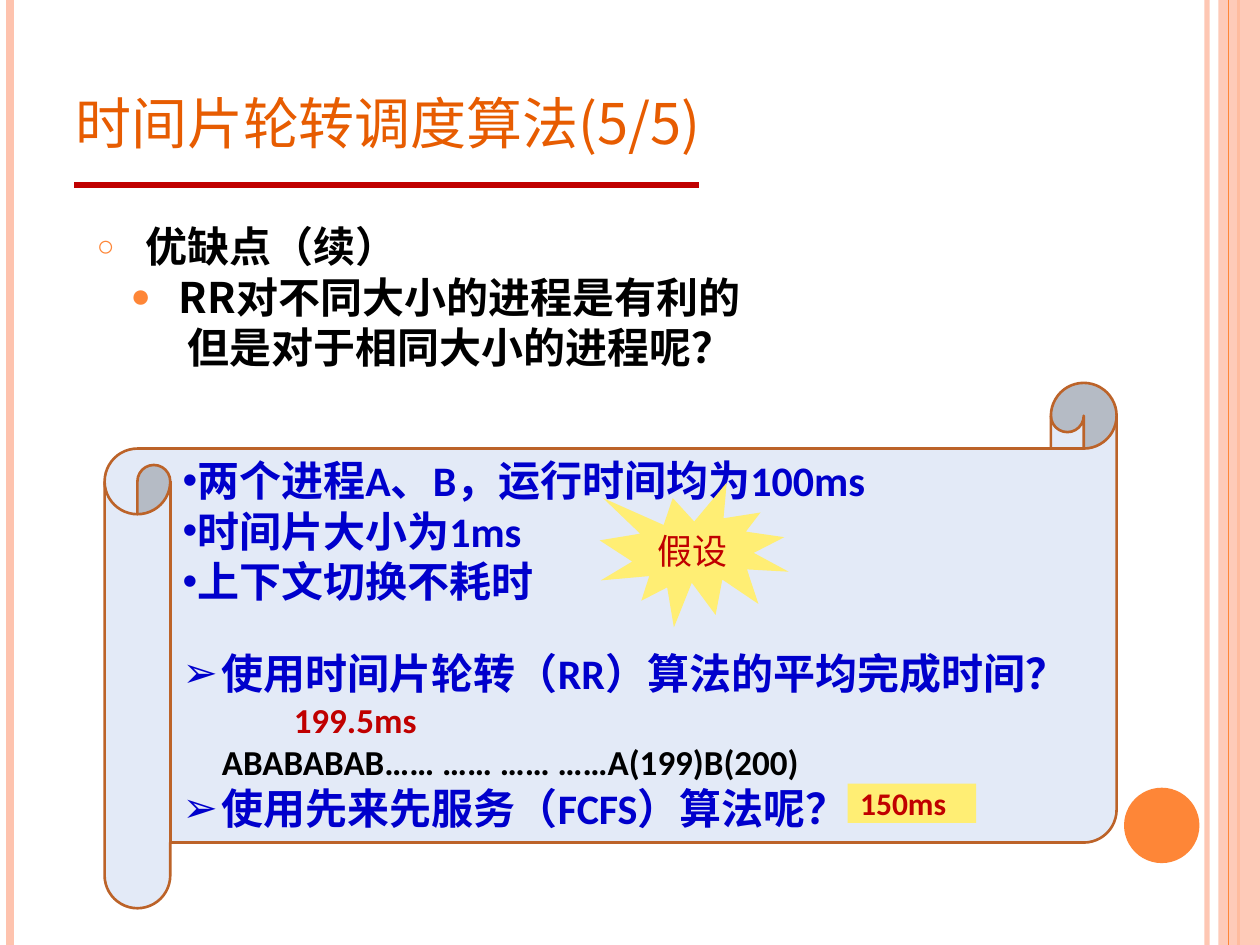
import pptx
import pptx.util
import pptx.dml.color
import pptx.enum.shapes
import pptx.enum.text
import pptx.oxml.ns
from lxml import etree

Cm, Pt = pptx.util.Cm, pptx.util.Pt
qn = pptx.oxml.ns.qn
SHAPE = pptx.enum.shapes.MSO_SHAPE
ANCHOR = pptx.enum.text.MSO_ANCHOR
ALIGN = pptx.enum.text.PP_ALIGN
CJK, LATIN = "Noto Sans CJK SC", "Calibri"
COLORS = {
    "pink": "FEC3AE", "orange": "FE8637", "title": "E75C01", "red": "C00000",
    "black": "000000", "blue": "0000CC", "scroll": "E3EAF7",
    "edge": "BC6329", "yellow": "FFEE74",
}


def rgb(name):
    """Return the named colour."""
    return pptx.dml.color.RGBColor.from_string(COLORS[name])


def set_alpha(element, percent):
    """Make the colour inside an element partly transparent."""
    clr = next(element.iter(qn("a:srgbClr")))
    etree.SubElement(clr, qn("a:alpha")).set("val", str(percent * 1000))


def add_line(s, start, end, color, width, alpha=100):
    """Draw a straight line between two points in centimetres."""
    c = s.shapes.add_connector(pptx.enum.shapes.MSO_CONNECTOR.STRAIGHT,
                               *map(Cm, start + end))
    c.line.color.rgb = rgb(color)
    c.line.width = Pt(width)
    if alpha < 100:
        set_alpha(c.line._get_or_add_ln(), alpha)
    etree.SubElement(c._element.spPr, qn("a:effectLst"))


def add_shape(s, kind, box, fill, edge=None, alpha=100):
    """Draw a filled preset shape, outlined if an edge colour is given."""
    sp = s.shapes.add_shape(kind, *map(Cm, box))
    sp.shadow.inherit = False
    sp.fill.solid()
    sp.fill.fore_color.rgb = rgb(fill)
    if alpha < 100:
        set_alpha(sp._element.spPr, alpha)
    if edge:
        sp.line.color.rgb = rgb(edge)
        sp.line.width = Pt(1.5)
    else:
        sp.line.fill.background()
    return sp


def place(sp, box):
    """Move a placeholder to a box in centimetres."""
    sp.left, sp.top, sp.width, sp.height = map(Cm, box)
    sp.text_frame.auto_size = pptx.enum.text.MSO_AUTO_SIZE.NONE


def format_run(r, size, color, font, bold=False):
    """Set the look of a run, with the CJK font for Chinese text."""
    r.font.size = Pt(size)
    r.font.bold = bold
    r.font.color.rgb = rgb(color)
    r.font.name = font
    ea = etree.Element(qn("a:ea"), typeface=CJK)
    r.font._element.find(qn("a:latin")).addnext(ea)


def set_bullet(p, char, left, hang, color=None, size=100):
    """Set the indents of a paragraph and its bullet, if any."""
    pPr = p._p.get_or_add_pPr()
    pPr.set("marL", str(Cm(left)))
    pPr.set("indent", str(-Cm(hang)))
    if not char:
        etree.SubElement(pPr, qn("a:buNone"))
        return
    if color:
        clr = etree.SubElement(pPr, qn("a:buClr"))
        etree.SubElement(clr, qn("a:srgbClr"), val=COLORS[color])
    etree.SubElement(pPr, qn("a:buSzPct"), val=str(size * 1000))
    etree.SubElement(pPr, qn("a:buFont"), typeface="Arial")
    etree.SubElement(pPr, qn("a:buChar"), char=char)


def add_paragraphs(tf, rows, font):
    """Fill a text frame with bold rows of text, bullet, size, colour and gap."""
    for i, (text, bullet, size, color, gap) in enumerate(rows):
        p = tf.add_paragraph() if i else tf.paragraphs[0]
        p.text = text
        set_bullet(p, *bullet)
        p.alignment = ALIGN.LEFT
        p.space_before = Pt(gap)
        p.line_spacing = Pt(size * 1.2)
        format_run(p.runs[0], size, color, font, bold=True)


def add_label(sp, text, size, font, align, bold=False):
    """Put one red line of text in the middle of a shape."""
    tf = sp.text_frame
    tf.text = text
    tf.word_wrap = True
    tf.vertical_anchor = ANCHOR.MIDDLE
    tf.paragraphs[0].alignment = align
    format_run(tf.paragraphs[0].runs[0], size, "red", font, bold)


def add_frame(s, height):
    """Draw the side stripes, the disc and the rule under the title."""
    for x, color, width, alpha in [(24.33, "pink", 3, 93), (0.2, "pink", 4.5, 100),
                                   (24.97, "orange", 1.5, 100)]:
        add_line(s, (x, 0), (x, height), color, width, alpha)
    add_shape(s, SHAPE.RECTANGLE, (24.56, 0, 0.84, height), "pink", alpha=87)
    add_line(s, (24.77, 0), (24.77, height), "orange", 0.75)
    add_shape(s, SHAPE.OVAL, (22.66, 15.88, 1.52, 1.52), "orange")
    add_line(s, (1.5, 3.73), (14.1, 3.73), "red", 3)


def add_title(s):
    """Fill the title placeholder."""
    sp = s.shapes.title
    place(sp, (1.27, 0.76, 20.75, 2.57))
    sp.text_frame.text = "时间片轮转调度算法(5/5)"
    sp.text_frame.vertical_anchor = ANCHOR.BOTTOM
    p = sp.text_frame.paragraphs[0]
    p.alignment = ALIGN.LEFT
    format_run(p.runs[0], 40, "title", CJK)
    p.runs[0].font._element.set("cap", "small")


def add_body(s):
    """Fill the body placeholder."""
    sp = s.placeholders[1]
    place(sp, (1.7, 4.32, 17.02, 3.99))
    add_paragraphs(sp.text_frame, [
        ("优缺点（续）", ("○", 0.97, 0.97, "orange", 70), 24, "black", 0),
        ("RR对不同大小的进程是有利的", ("●", 1.65, 0.97, "orange", 80), 24, "black", 0),
        ("但是对于相同大小的进程呢？", (None, 1.83, 0), 24, "black", 0),
    ], CJK)


def add_scroll(s):
    """Draw the scroll with the assumptions and the questions."""
    sp = add_shape(s, SHAPE.HORIZONTAL_SCROLL, (2.11, 7.72, 20.4, 10.59),
                   "scroll", "edge")
    tf = sp.text_frame
    tf.word_wrap = True
    tf.margin_right = 0
    tf.vertical_anchor = ANCHOR.TOP
    dot, arrow = ("•", 0.28, 0.28), ("➢", 0.79, 0.79)
    add_paragraphs(tf, [
        ("两个进程A、B，运行时间均为100ms", dot, 24, "blue", 0),
        ("时间片大小为1ms", dot, 24, "blue", 0),
        ("上下文切换不耗时", dot, 24, "blue", 0),
        ("使用时间片轮转（RR）算法的平均完成时间？", arrow, 24, "blue", 24),
        ("199.5ms", (None, 2.24, 0), 20, "red", 0),
        ("ABABABAB…… …… …… ……A(199)B(200)", (None, 0.79, 0), 20, "black", 0),
        ("使用先来先服务（FCFS）算法呢？", arrow, 24, "blue", 0),
    ], LATIN)


def main():
    """Build the slide and save it."""
    prs = pptx.Presentation()
    prs.slide_width, prs.slide_height = Cm(25.4), Cm(19.05)
    s = prs.slides.add_slide(prs.slide_layouts[1])
    add_frame(s, 19.05)
    add_title(s)
    add_body(s)
    add_scroll(s)
    seal = add_shape(s, SHAPE.EXPLOSION1, (12.09, 9.73, 3.81, 2.92), "yellow")
    add_label(seal, "假设", 20, CJK, ALIGN.CENTER)
    answer = add_shape(s, SHAPE.RECTANGLE, (17.09, 15.8, 2.59, 0.79), "yellow")
    add_label(answer, "150ms", 18, LATIN, ALIGN.LEFT, bold=True)
    prs.save("out.pptx")


if __name__ == "__main__":
    main()
